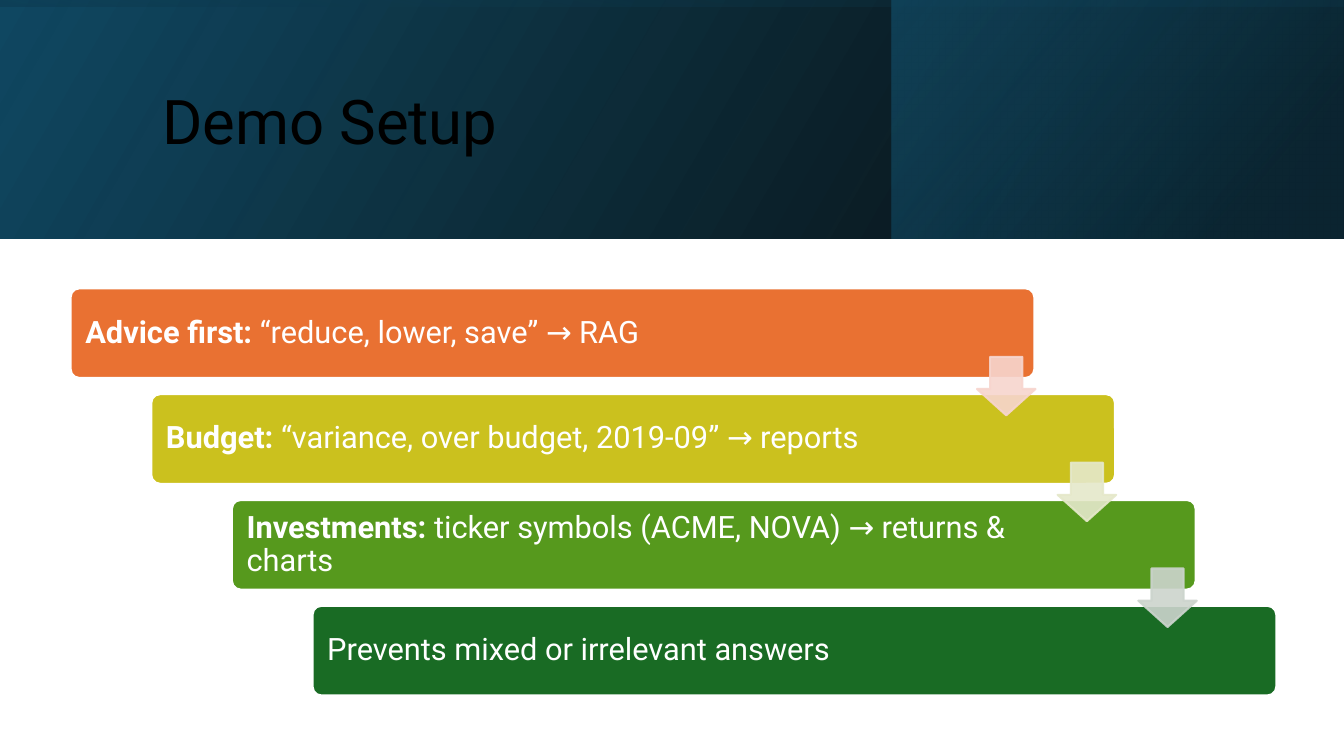
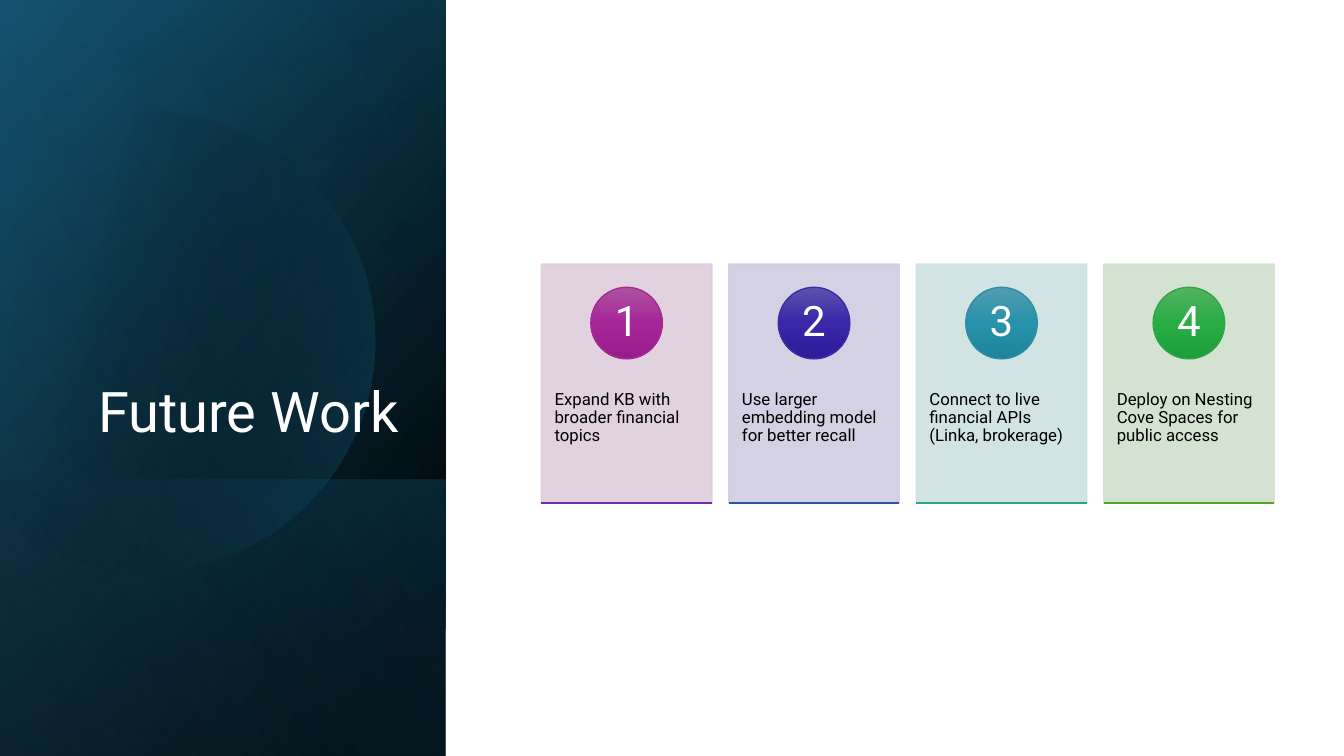
import lxml.etree
import pptx
import pptx.dml.color
import pptx.enum.shapes
import pptx.enum.text
import pptx.oxml.ns
import pptx.util

SHAPES = pptx.enum.shapes.MSO_SHAPE
ANCHOR = pptx.enum.text.MSO_ANCHOR
ALIGN = pptx.enum.text.PP_ALIGN
FONT = "Roboto"
WHITE, BLACK = "FFFFFF", "000000"
NAVY, TEAL, DEEP, SKY = "104862", "156082", "0B3041", "46B1E1"
WIDTH, HEIGHT = 13.33, 7.5
BAND_HEIGHT = 2.37
SIDE_WIDTH = 4.42

BAND = (0, 0, WIDTH, BAND_HEIGHT)
SIDE = (0, 0, SIDE_WIDTH, HEIGHT)
BAND_PANELS = [
    (BAND, 0, [(0, BLACK, 96), (100, NAVY, 100)], 330),
    ((8.84, 0, 4.48, BAND_HEIGHT), 0, [(19, DEEP, 68), (100, TEAL, 48)], 320),
    (BAND, 270, [(23, NAVY, 16), (99, BLACK, 45)], 350),
]
SIDE_PANELS = [
    (SIDE, 90, [(8, BLACK, 100), (100, NAVY, 100)], 50),
    (SIDE, 90, [(0, BLACK, 0), (99, TEAL, 46)], 30),
    ((0, 4.76, SIDE_WIDTH, 2.74), 90, [(2, TEAL, 29), (100, BLACK, 30)], 130),
]
SIDE_SHEEN = (SIDE, 90, [(0, BLACK, 0), (99, SKY, 11)], 120)
DISC_START = (1.49, 1.1)
DISC_CURVES = [
    [(2.46, 1.12), (3.35, 1.77), (3.63, 2.75)],
    [(3.98, 3.97), (3.28, 5.23), (2.07, 5.58)],
    [(1.31, 5.8), (0.53, 5.61), (-0.03, 5.14)],
    [(-0.15, 5.03)],
    [(-0.15, 1.75)],
    [(0, 1.61)],
    [(0.23, 1.42), (0.5, 1.28), (0.8, 1.19)],
    [(1.03, 1.13), (1.26, 1.1), (1.49, 1.1)],
]
DISC_STOPS = [(29, BLACK, 0), (100, TEAL, 43)]

STEPS = [
    ("Advice first: ", "“reduce, lower, save” → RAG", "E97132", "F7D5CE"),
    ("Budget: ", "“variance, over budget, 2019-09” → reports", "CBC11E", "E5E8CA"),
    ("Investments: ", "ticker symbols (ACME, NOVA) → returns & charts", "56991D", "CCD4CD"),
    ("", "Prevents mixed or irrelevant answers", "196B24", None),
]
CARDS = [
    ("Expand KB with broader financial topics", "DFCDDC",
     ("AC53A0", "A62598", "991C8B"), "A02B93", "752BA1"),
    ("Use larger embedding model for better recall", "CFCDE0",
     ("5C53AE", "3926A8", "2F1C9A"), "3D2CA2", "2C54A3"),
    ("Connect to live financial APIs (Linka, brokerage)", "CDE1E0",
     ("539CB0", "2792AA", "1D859C"), "2D8EA4", "2DA581"),
    ("Deploy on Nesting Cove Spaces for public access", "D0E1CD",
     ("54B262", "28AC44", "1E9E3A"), "2EA648", "4EA72E"),
]


def color(value):
    return pptx.dml.color.RGBColor.from_string(value)


def child(parent, tag, **attributes):
    return lxml.etree.SubElement(parent, pptx.oxml.ns.qn(tag), attributes)


def inches(*values):
    return [pptx.util.Inches(value) for value in values]


def add_shape(slide, kind, box, fill=None, line=None, line_width=1, opacity=100):
    shape = slide.shapes.add_shape(kind, *inches(*box))
    shape.shadow.inherit = False
    if fill:
        shape.fill.solid()
        shape.fill.fore_color.rgb = color(fill)
    if line:
        shape.line.color.rgb = color(line)
        shape.line.width = pptx.util.Pt(line_width)
    else:
        shape.line.fill.background()
    if opacity < 100:
        for value in list(shape._element.spPr.iter(pptx.oxml.ns.qn("a:srgbClr"))):
            child(value, "a:alpha", val=str(opacity * 1000))
    return shape


def set_gradient(shape, stops, angle):
    shape.fill.background()
    properties = shape._element.spPr
    gradient = child(properties, "a:gradFill", rotWithShape="1")
    stop_list = child(gradient, "a:gsLst")
    for position, value, opacity in stops:
        stop = child(stop_list, "a:gs", pos=str(position * 1000))
        stop_color = child(stop, "a:srgbClr", val=value)
        if opacity < 100:
            child(stop_color, "a:alpha", val=str(opacity * 1000))
    child(gradient, "a:lin", ang=str(angle * 60000), scaled="0")
    properties.replace(properties.find(pptx.oxml.ns.qn("a:noFill")), gradient)


def add_panel(slide, box, rotation, stops, angle):
    left, top, width, height = box
    if rotation in (90, 270):
        shift = (width - height) / 2
        left, top, width, height = left + shift, top - shift, height, width
    panel = add_shape(slide, SHAPES.RECTANGLE, (left, top, width, height))
    set_gradient(panel, stops, angle)
    panel.rotation = rotation
    panel._element.spPr.find(pptx.oxml.ns.qn("a:xfrm")).set("flipH", "1")


def set_text(shape, parts, size, value, anchor, align=ALIGN.LEFT, insets=(0.1, 0.05, 0.1, 0.05)):
    frame = shape.text_frame
    frame.word_wrap = True
    frame.vertical_anchor = anchor
    (frame.margin_left, frame.margin_top,
     frame.margin_right, frame.margin_bottom) = inches(*insets)
    paragraph = frame.paragraphs[0]
    paragraph.alignment = align
    paragraph.line_spacing = 0.9
    for text, bold in parts:
        run = paragraph.add_run()
        run.text = text
        run.font.name = FONT
        run.font.size = pptx.util.Pt(size)
        run.font.bold = bold
        run.font.color.rgb = color(value)


def add_title(slide, text, box, size, value, anchor, align=ALIGN.LEFT):
    title = slide.shapes.add_textbox(*inches(*box))
    set_text(title, [(text, False)], size, value, anchor, align)


def curve_points(start, controls, count=16):
    if len(controls) == 1:
        return controls
    points = []
    for index in range(1, count + 1):
        t = index / count
        weights = ((1 - t) ** 3, 3 * t * (1 - t) ** 2, 3 * t * t * (1 - t), t ** 3)
        points.append(tuple(
            sum(weight * point[axis] for weight, point in zip(weights, [start, *controls]))
            for axis in (0, 1)))
    return points


def add_disc(slide):
    points = [DISC_START]
    for controls in DISC_CURVES:
        points += curve_points(points[-1], controls)
    builder = slide.shapes.build_freeform(*inches(*points[0]))
    builder.add_line_segments([inches(*point) for point in points[1:]], close=True)
    disc = builder.convert_to_shape()
    disc.shadow.inherit = False
    disc.line.fill.background()
    set_gradient(disc, DISC_STOPS, 14)


def build_setup(slide):
    for panel in BAND_PANELS:
        add_panel(slide, *panel)
    add_title(slide, "Demo Setup", (1.51, 0.38, 10.63, 1.72), 44, BLACK, ANCHOR.MIDDLE)
    left, top, width, height = 0.7, 2.86, 9.56, 0.89
    step_x, step_y, arrow_size = 0.8, 1.05, 0.58
    for index, (label, text, fill, _) in enumerate(STEPS):
        box = (left + index * step_x, top + index * step_y, width, height)
        bar = add_shape(slide, SHAPES.ROUNDED_RECTANGLE, box, fill, WHITE, 1.5)
        bar.adjustments[0] = 0.1
        parts = [(part, bold) for part, bold in ((label, True), (text, False)) if part]
        set_text(bar, parts, 22, WHITE, ANCHOR.MIDDLE, insets=(0.12, 0.09, 1.49, 0.09))
    for index, (_, _, _, fill) in enumerate(STEPS[:-1]):
        box = (left + width - arrow_size + index * step_x + 0.01,
               top + 0.68 + index * step_y, arrow_size, arrow_size)
        arrow = add_shape(slide, SHAPES.DOWN_ARROW, box, fill, fill, 1.5, 90)
        arrow.adjustments[0] = 0.55
        arrow.adjustments[1] = 0.45


def build_future(slide):
    for panel in SIDE_PANELS:
        add_panel(slide, *panel)
    add_disc(slide)
    add_panel(slide, *SIDE_SHEEN)
    add_title(slide, "Future Work", (0.64, 1.84, 3.41, 2.62), 40, WHITE, ANCHOR.BOTTOM, ALIGN.RIGHT)
    top, width, height, circle_size = 2.62, 1.69, 2.37, 0.71
    pitch = width * 1.1
    for index, (text, fill, shades, outline, rule_color) in enumerate(CARDS):
        left = 5.37 + index * pitch
        card = add_shape(slide, SHAPES.RECTANGLE, (left, top, width, height), fill, fill, 1, 90)
        set_text(card, [(text, False)], 12, BLACK, ANCHOR.TOP, insets=(0.13, 1.26, 0.13, 0.36))
        box = (left + (width - circle_size) / 2, top + 0.23, circle_size, circle_size)
        circle = add_shape(slide, SHAPES.OVAL, box, line=outline)
        set_gradient(circle, [(50 * step, shade, 100) for step, shade in enumerate(shades)], 90)
        set_text(circle, [(str(index + 1), False)], 30, WHITE, ANCHOR.MIDDLE, ALIGN.CENTER,
                 (0.06, 0.01, 0.06, 0.01))
        bottom = top + height
        rule = slide.shapes.add_connector(
            pptx.enum.shapes.MSO_CONNECTOR.STRAIGHT, *inches(left, bottom, left + width, bottom))
        rule.line.color.rgb = color(rule_color)
        rule.line.width = pptx.util.Pt(1)
        child(rule._element.spPr, "a:effectLst")


def main():
    presentation = pptx.Presentation()
    presentation.slide_width, presentation.slide_height = inches(WIDTH, HEIGHT)
    for build in (build_setup, build_future):
        build(presentation.slides.add_slide(presentation.slide_layouts[6]))
    presentation.save("out.pptx")


if __name__ == "__main__":
    main()
